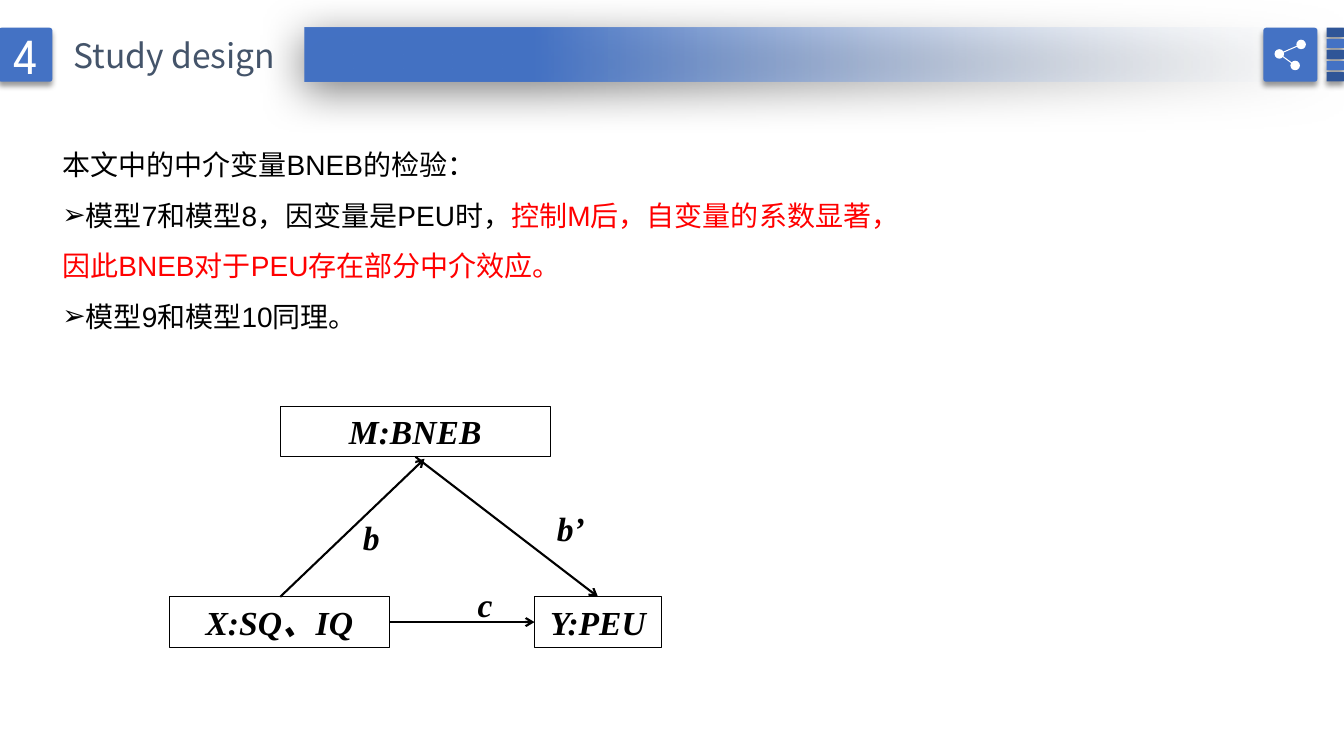
from lxml import etree
from pptx import Presentation
from pptx.dml.color import RGBColor
from pptx.enum.shapes import MSO_CONNECTOR, MSO_SHAPE
from pptx.enum.text import MSO_ANCHOR, MSO_AUTO_SIZE, PP_ALIGN
from pptx.oxml.ns import qn
from pptx.util import Cm, Pt

RECTANGLE = MSO_SHAPE.RECTANGLE
ROUNDED = MSO_SHAPE.ROUNDED_RECTANGLE
OVAL = MSO_SHAPE.OVAL
STRAIGHT = MSO_CONNECTOR.STRAIGHT
LEFT, CENTER = PP_ALIGN.LEFT, PP_ALIGN.CENTER
TOP, MIDDLE = MSO_ANCHOR.TOP, MSO_ANCHOR.MIDDLE
NO_AUTOSIZE = MSO_AUTO_SIZE.NONE

COLORS = {
    "blue": "4472C4",
    "dark_blue": "2F5597",
    "pale": "F7FAFD",
    "slate": "44546A",
    "white": "FFFFFF",
    "black": "000000",
    "red": "FF0000",
}
TILE_SHADOW = {"opacity": 40, "blur": 4, "distance": 3, "angle": 90}
BAR_SHADOW = {"opacity": 50, "blur": 31, "distance": 6, "angle": 97}


def color(name):
    return RGBColor.from_string(COLORS[name])


def lengths(box):
    return [Cm(value) for value in box]


def write(paragraph, text, size=20, font="Arial", fill="black",
          bold=False, italic=False, align=LEFT):
    paragraph.alignment = align
    run = paragraph.add_run()
    run.text = text
    run.font.name = font
    run.font.size = Pt(size)
    run.font.bold = bold
    run.font.italic = italic
    run.font.color.rgb = color(fill)


def add_shadow(shape, opacity, blur, distance, angle):
    effects = shape._element.spPr.find(qn("a:effectLst"))
    shadow = etree.SubElement(
        effects, qn("a:outerShdw"), blurRad=str(Pt(blur)), dist=str(Pt(distance)),
        dir=str(angle * 60000), algn="ctr", rotWithShape="0")
    tone = etree.SubElement(shadow, qn("a:srgbClr"), val=COLORS["black"])
    etree.SubElement(tone, qn("a:alpha"), val=str(opacity * 1000))


def add_block(slide, kind, box, fill=None, line=None, shadow=None):
    shape = slide.shapes.add_shape(kind, *lengths(box))
    if fill:
        shape.fill.solid()
        shape.fill.fore_color.rgb = color(fill)
    else:
        shape.fill.background()
    if line:
        shape.line.color.rgb = color(line)
        shape.line.width = Pt(0.75)
    else:
        shape.line.fill.background()
    shape.shadow.inherit = False
    if shadow:
        add_shadow(shape, **shadow)
    if kind == ROUNDED:
        shape.adjustments[0] = 0.05
    return shape


def add_line(slide, start, end, fill, width, arrow=False):
    connector = slide.shapes.add_connector(STRAIGHT, *lengths((*start, *end)))
    connector.line.color.rgb = color(fill)
    connector.line.width = Pt(width)
    if arrow:
        etree.SubElement(connector.line._get_or_add_ln(), qn("a:tailEnd"), type="arrow")
    etree.SubElement(connector._element.spPr, qn("a:effectLst"))


def add_gradient_bar(slide, box):
    bar = add_block(slide, RECTANGLE, box, shadow=BAR_SHADOW)
    bar.fill.gradient()
    bar.fill.gradient_angle = 180
    for stop, name, position in zip(bar.fill.gradient_stops, ("pale", "blue"), (0, 0.78)):
        stop.color.rgb = color(name)
        stop.position = position
    clear = bar._element.spPr.find(".//" + qn("a:srgbClr"))
    etree.SubElement(clear, qn("a:alpha"), val="0")


def add_share_tile(slide, box):
    left, top = box[:2]
    add_block(slide, ROUNDED, box, fill="blue", shadow=TILE_SHADOW)
    upper, hub, lower = [(left + x, top + y)
                         for x, y in ((0.95, 0.42), (0.4, 0.66), (0.8, 0.95))]
    diameter = 0.24
    for end in (upper, lower):
        add_line(slide, hub, end, "white", 0.75)
    for x, y in (upper, hub, lower):
        dot = (x - diameter / 2, y - diameter / 2, diameter, diameter)
        add_block(slide, OVAL, dot, fill="white")


def add_stripes(slide, box):
    left, top, width, height = box
    pitch, thickness = height / 5, 0.23
    for index in range(5):
        fill = "blue" if index % 2 else "dark_blue"
        add_block(slide, ROUNDED, (left, top + index * pitch, width, thickness),
                  fill=fill, shadow=TILE_SHADOW)


def add_header(slide, box):
    left, top, width, height = box
    add_gradient_bar(slide, (left + 7.67, top, width - 7.67, height))

    number = add_block(slide, ROUNDED, (left - 0.03, top, 1.35, height),
                       fill="blue", shadow=TILE_SHADOW)
    number.text_frame.vertical_anchor = MIDDLE
    write(number.text_frame.paragraphs[0], "4", size=36, font="League Spartan",
          fill="white", align=CENTER)

    title = slide.shapes.title
    title.left, title.top, title.width, title.height = lengths(
        (left + 1.4, top + 0.04, 19.53, 1.27))
    frame = title.text_frame
    frame.auto_size = NO_AUTOSIZE
    frame.vertical_anchor = TOP
    frame.margin_left = Cm(0.45)
    write(frame.paragraphs[0], "Study design", size=24, font="Noto Sans CJK SC",
          fill="slate")

    add_stripes(slide, (left + width - 0.44, top, 0.44, 1.4))
    add_share_tile(slide, (left + width - 2.03, top, 1.36, height))


def add_explanation(slide, box):
    frame = slide.shapes.add_textbox(*lengths(box)).text_frame
    frame.word_wrap = True
    entries = [
        [("本文中的中介变量BNEB的检验：", "black")],
        [("模型7和模型8，因变量是PEU时，", "black"),
         ("控制M后，自变量的系数显著，因此BNEB对于PEU存在部分中介效应。", "red")],
        [("模型9和模型10同理。", "black")],
    ]
    for index, parts in enumerate(entries):
        paragraph = frame.add_paragraph() if index else frame.paragraphs[0]
        paragraph.line_spacing = 1.5 if index else 1.3
        if index:
            properties = paragraph._p.get_or_add_pPr()
            properties.set("marL", "0")
            properties.set("indent", "0")
            etree.SubElement(properties, qn("a:buFont"), typeface="Arial")
            etree.SubElement(properties, qn("a:buChar"), char="➢")
        for text, fill in parts:
            write(paragraph, text, fill=fill)


def add_mediation_diagram(slide, box):
    left, top, width, height = box
    row = 1.27
    bottom = height - row
    nodes = [
        ("X:SQ、IQ", 0, bottom, 5.54),
        ("Y:PEU", width - 3.2, bottom, 3.2),
        ("M:BNEB", 2.79, 0, 6.81),
    ]
    arrows = [
        ((5.54, bottom + row / 2), (width - 3.2, bottom + row / 2)),
        ((2.79, bottom), (6.43, 1.32)),
        ((6.2, row), (10.8, bottom)),
    ]
    labels = [("c", 7.09, 4.34), ("b", 4.22, 2.67), ("b’", 9.25, 2.44)]

    for start, end in arrows:
        add_line(slide, (left + start[0], top + start[1]),
                 (left + end[0], top + end[1]), "black", 1.5, arrow=True)
    captions = [(*node, "black") for node in nodes]
    captions += [(*label, 1.73, None) for label in labels]
    for text, x, y, span, line in captions:
        shape = add_block(slide, RECTANGLE, (left + x, top + y, span, row), line=line)
        shape.text_frame.vertical_anchor = TOP
        write(shape.text_frame.paragraphs[0], text, size=24, font="Times New Roman",
              bold=True, italic=True, align=CENTER)


def main():
    presentation = Presentation()
    presentation.slide_width = Cm(33.87)
    presentation.slide_height = Cm(19.05)
    slide = presentation.slides.add_slide(presentation.slide_layouts[5])
    add_header(slide, (0, 0.7, 33.87, 1.36))
    add_explanation(slide, (1.32, 3.35, 21.26, 5.05))
    add_mediation_diagram(slide, (4.27, 10.24, 12.4, 6.07))
    presentation.save("out.pptx")


if __name__ == "__main__":
    main()
